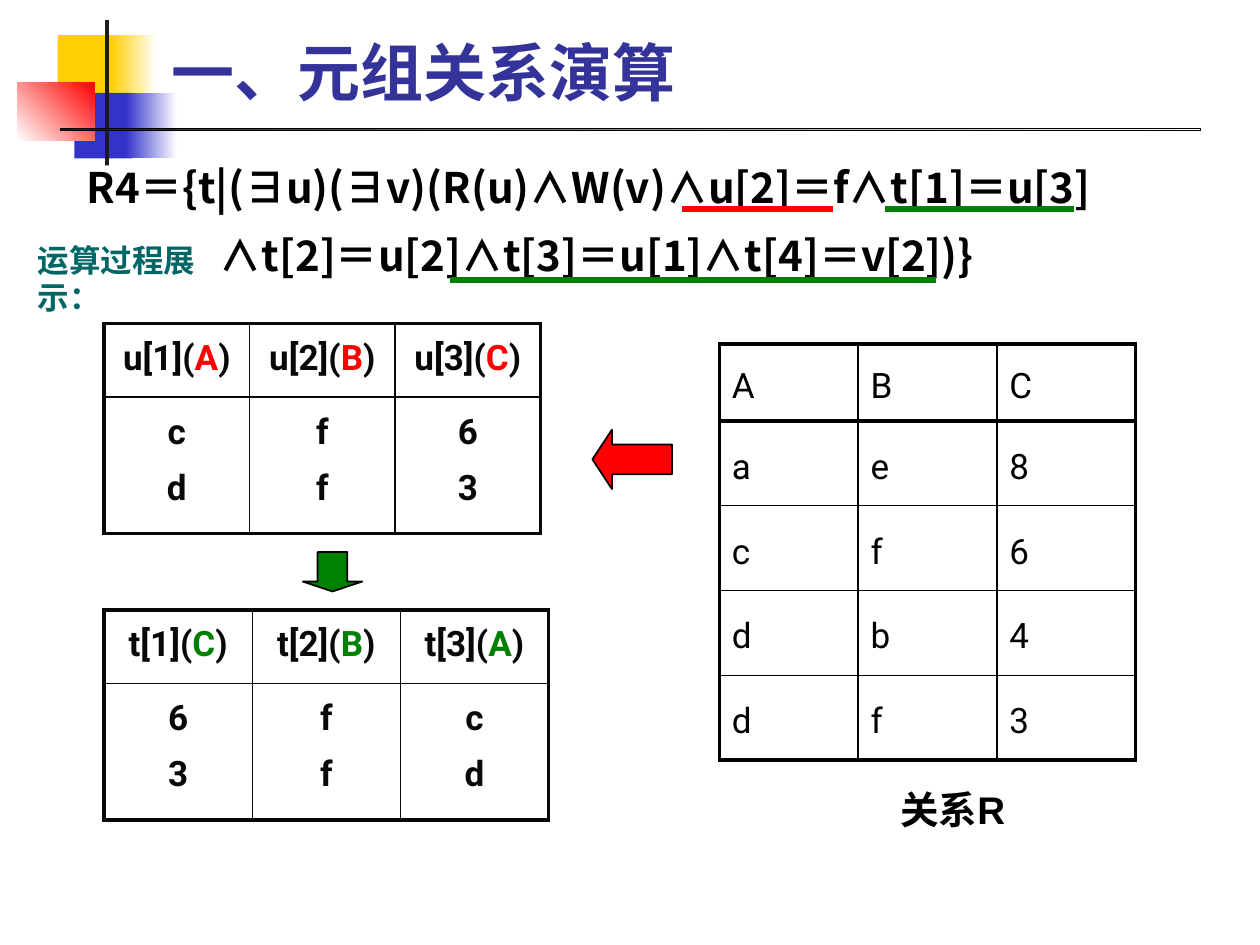
import pptx
import pptx.util
import pptx.dml.color
import pptx.enum.shapes
import pptx.enum.text
import pptx.oxml
import pptx.oxml.ns

Pt = pptx.util.Pt
Shape = pptx.enum.shapes.MSO_SHAPE
Align = pptx.enum.text.PP_ALIGN
Anchor = pptx.enum.text.MSO_ANCHOR

COLORS = {
    "yellow": "FFCF01", "blue": "3333CC", "red": "FF0000", "white": "FFFFFF",
    "charcoal": "1C1C1C", "black": "000000", "ink": "080808",
    "title": "333399", "green": "008000", "teal": "006666",
}
THICK, THIN = 2.25, 1


def color(name):
    return pptx.dml.color.RGBColor.from_string(COLORS[name])


def apply(target, values):
    for name, value in values.items():
        setattr(target, name, value)


def write(para, pieces, font, size, bold=True, **layout):
    apply(para, layout)
    for text, tint in pieces:
        span = para.add_run()
        span.text = text
        apply(span.font, {"name": font, "size": Pt(size), "bold": bold})
        span.font.color.rgb = color(tint)
        east_asian = pptx.oxml.parse_xml(
            f'<a:ea {pptx.oxml.ns.nsdecls("a")} typeface="{font}"/>')
        span.font._element.append(east_asian)


def add_text_box(page, box, anchor=Anchor.TOP):
    frame = page.shapes.add_textbox(*map(Pt, box)).text_frame
    apply(frame, {"word_wrap": True, "vertical_anchor": anchor})
    return frame


def add_block(page, kind, box, fill, line=None, angle=0):
    block = page.shapes.add_shape(kind, *map(Pt, box))
    block.shadow.inherit = False
    if isinstance(fill, tuple):
        block.fill.gradient()
        block.fill.gradient_angle = angle
        for stop, name, position in zip(block.fill.gradient_stops, fill, (0, 1)):
            stop.color.rgb = color(name)
            stop.position = position
    else:
        block.fill.solid()
        block.fill.fore_color.rgb = color(fill)
    if line:
        block.line.color.rgb = color("black")
        block.line.width = Pt(line)
    else:
        block.line.fill.background()
    return block


def add_underline(page, left, right, top, tint):
    line = page.shapes.add_connector(
        pptx.enum.shapes.MSO_CONNECTOR.STRAIGHT, Pt(left), Pt(top), Pt(right), Pt(top))
    line.line.color.rgb = color(tint)
    line.line.width = Pt(3)
    line._element.spPr.append(
        pptx.oxml.parse_xml(f'<a:effectLst {pptx.oxml.ns.nsdecls("a")}/>'))


def set_borders(cell, widths, tint):
    properties = cell._tc.get_or_add_tcPr()
    for side, width in zip("LRTB", widths):
        properties.append(pptx.oxml.parse_xml(
            f'<a:ln{side} {pptx.oxml.ns.nsdecls("a")} w="{Pt(width)}">'
            f'<a:solidFill><a:srgbClr val="{COLORS[tint]}"/></a:solidFill></a:ln{side}>'))


def add_grid(page, box, row_heights, column_count, tint, header_rule):
    left, top, width = box
    row_count = len(row_heights)
    grid = page.shapes.add_table(
        row_count, column_count, Pt(left), Pt(top), Pt(width), Pt(sum(row_heights))).table
    apply(grid, {"first_row": False, "horz_banding": False})
    for column in grid.columns:
        column.width = Pt(width / column_count)
    for row, height in zip(grid.rows, row_heights):
        row.height = Pt(height)
    row_rules = [THICK, header_rule] + [THIN] * (row_count - 2) + [THICK]
    column_rules = [THICK] + [THIN] * (column_count - 1) + [THICK]
    for r in range(row_count):
        for c in range(column_count):
            cell = grid.cell(r, c)
            set_borders(cell, column_rules[c:c + 2] + row_rules[r:r + 2], tint)
            cell.fill.background()
    return grid


def draw_header(page, box):
    left, top = box
    parts = [
        ((23, 8.5, 35, 37.5), "yellow", None, 0),
        ((53.5, 8.5, 26, 37.5), ("yellow", "white"), None, 0),
        ((32.5, 41.5, 33, 37.5), "blue", None, 0),
        ((62, 41.5, 29, 37.5), ("blue", "white"), None, 0),
        ((0, 35.5, 44, 33.5), ("white", "red"), None, 45),
        ((50, 0, 2.3, 83), "charcoal", None, 0),
        ((24.5, 62, 651.5, 1.2), ("charcoal", "white"), 0.75, 0),
    ]
    for (x, y, width, height), fill, line, angle in parts:
        add_block(page, Shape.RECTANGLE, (left + x, top + y, width, height), fill, line, angle)
    frame = add_text_box(page, (left + 81, top + 5.5, 613.5, 49), Anchor.BOTTOM)
    write(frame.paragraphs[0], [("一、元组关系演算", "title")], "Roboto", 36)


def draw_formula(page, box):
    left, top = box[:2]
    frame = add_text_box(page, box)
    lines = ["R4＝{t|(∃u)(∃v)(R(u)∧W(v)∧u[2]＝f∧t[1]＝u[3]",
             "∧t[2]＝u[2]∧t[3]＝u[1]∧t[4]＝v[2])}"]
    first, second = frame.paragraphs[0], frame.add_paragraph()
    second._p.get_or_add_pPr().set("marL", str(Pt(76)))
    second.space_before = Pt(7.2)
    for para, text in zip((first, second), lines):
        write(para, [(text, "black")], "Noto Sans CJK SC", 24,
              alignment=Align.JUSTIFY, line_spacing=1.1)
    for start, end, y, tint in [(347.5, 433.5, 33.5, "red"), (463.5, 571.5, 33.5, "green"),
                                (214.5, 492.5, 74, "green")]:
        add_underline(page, left + start, left + end, top + y, tint)


def draw_tuple_table(page, box, variable, attributes, tint, columns):
    grid = add_grid(page, box, [42, 78], len(columns), "ink", THIN)
    layout = {"alignment": Align.CENTER, "line_spacing": 1.2}
    for c, (attribute, values) in enumerate(zip(attributes, columns)):
        heading = [(f"{variable}[{c + 1}](", "ink"), (attribute, tint), (")", "ink")]
        write(grid.cell(0, c).text_frame.paragraphs[0], heading, "Roboto", 20, **layout)
        frame = grid.cell(1, c).text_frame
        for index, value in enumerate(values):
            para = frame.add_paragraph() if index else frame.paragraphs[0]
            if index:
                para.space_before = Pt(4)
            write(para, [(value, "ink")], "Roboto", 20, **layout)


def draw_relation(page, box):
    left, top, width = box
    rows = ["ABC", "ae8", "cf6", "db4", "df3"]
    grid = add_grid(page, box, [44] + [48.5] * 4, 3, "black", THICK)
    for r, values in enumerate(rows):
        for c, value in enumerate(values):
            cell = grid.cell(r, c)
            cell.vertical_anchor = Anchor.MIDDLE
            write(cell.text_frame.paragraphs[0], [(value, "black")], "Roboto", 20, False,
                  alignment=Align.JUSTIFY if r else Align.LEFT, line_spacing=1.2)
    caption = add_text_box(page, (left + 96.5, top + 249, 96.5, 34))
    write(caption.paragraphs[0], [("关系R", "black")], "Arial", 22)


def draw_steps(page, box):
    left, top = box
    label = add_text_box(page, (left, top, 116, 50))
    write(label.paragraphs[0], [("运算过程展示：", "teal")], "Arial", 18)
    arrows = [(Shape.LEFT_ARROW, (324, 111.5, 45.5, 34), "red", 0.33),
              (Shape.DOWN_ARROW, (158.5, 181.5, 34, 22.5), "green", 0.25)]
    for kind, (x, y, width, height), tint, head in arrows:
        arrow = add_block(page, kind, (left + x, top + y, width, height), tint, 1)
        arrow.adjustments[1] = head


def main():
    deck = pptx.Presentation()
    apply(deck, {"slide_width": Pt(720), "slide_height": Pt(540)})
    page = deck.slides.add_slide(deck.slide_layouts[6])
    draw_header(page, (10, 11.5))
    draw_formula(page, (42.5, 86, 652.5, 79))
    draw_tuple_table(page, (59.5, 185, 249.5), "u", "ABC", "red", ["cd", "ff", "63"])
    draw_tuple_table(page, (59.5, 348.5, 254), "t", "CBA", "green", ["63", "ff", "cd"])
    draw_relation(page, (411, 196.5, 238))
    draw_steps(page, (14.5, 134))
    deck.save("out.pptx")


if __name__ == "__main__":
    main()
